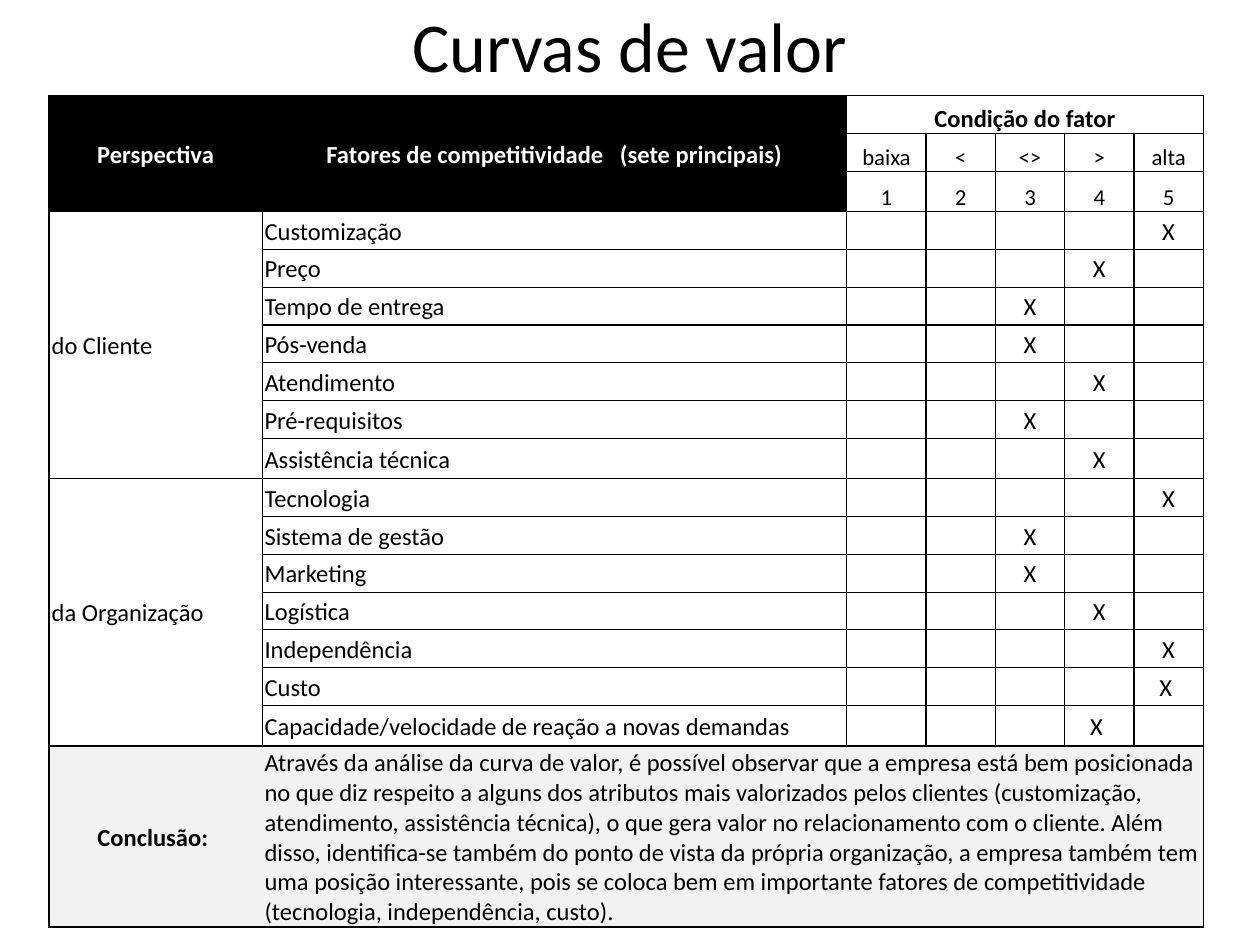
import pptx
import pptx.util
import pptx.dml.color
import pptx.enum.text
import lxml.etree

Inches, Pt = pptx.util.Inches, pptx.util.Pt
RGB = pptx.dml.color.RGBColor
ALIGN, ANCHOR = pptx.enum.text.PP_ALIGN, pptx.enum.text.MSO_ANCHOR
BLACK = RGB(0, 0, 0)
WHITE = RGB(255, 255, 255)
GRAY = RGB(0xF2, 0xF2, 0xF2)
FONT = "Calibri"
NS = "{http://schemas.openxmlformats.org/drawingml/2006/main}"

WIDTHS = [1.69, 4.64, 0.63] + [0.55] * 4
HEAVY = (0, 3, 10, 17, 18)  # row edges with the thicker line
LAST = 17
FACTORS = [
    ("Customização", 5, "X"),
    ("Preço", 4, "X"),
    ("Tempo de entrega", 3, "X"),
    ("Pós-venda", 3, "X"),
    ("Atendimento", 4, "X"),
    ("Pré-requisitos", 3, "X"),
    ("Assistência técnica", 4, "X"),
    ("Tecnologia", 5, "X"),
    ("Sistema de gestão", 3, "X"),
    ("Marketing", 3, "X"),
    ("Logística", 4, "X"),
    ("Independência", 5, "X"),
    ("Custo", 5, "X\u00a0"),
    ("Capacidade/velocidade de reação a novas demandas", 4, "X\u00a0"),
]
SUMMARY = (
    "Através da análise da curva de valor, é possível observar que a empresa "
    "está bem posicionada no que diz respeito a alguns dos atributos mais "
    "valorizados pelos clientes (customização, atendimento, assistência "
    "técnica), o que gera valor no relacionamento com o cliente. Além disso, "
    "identifica-se também do ponto de vista da própria organização, a empresa "
    "também tem uma posição interessante, pois se coloca bem em importante "
    "fatores de competitividade (tecnologia, independência, custo). "
)


def write(par, text, size, color=BLACK, bold=False):
    run = par.add_run()
    run.text = text
    run.font.name, run.font.size, run.font.bold = FONT, Pt(size), bold
    run.font.color.rgb = color


def edge(cell, side, width, place):
    line = lxml.etree.Element(NS + "ln" + side, w=str(Pt(width)))
    if width:
        fill = lxml.etree.SubElement(line, NS + "solidFill")
        lxml.etree.SubElement(fill, NS + "srgbClr", val=str(BLACK))
    else:
        lxml.etree.SubElement(line, NS + "noFill")
    cell._tc.get_or_add_tcPr().insert(place, line)


deck = pptx.Presentation()
deck.slide_width, deck.slide_height = Inches(10), Inches(7.5)
slide = deck.slides.add_slide(deck.slide_layouts[5])

# Title
title = slide.shapes.title
title.left, title.top = Inches(0.5), Inches(-0.27)
title.width, title.height = Inches(9), Inches(1.25)
title.text_frame.vertical_anchor = ANCHOR.MIDDLE
head = title.text_frame.paragraphs[0]
head.alignment = ALIGN.CENTER
write(head, "Curvas de valor", 40)

# Table grid
heights = [0.32 if row in (2, 9, 16) else 0.3 for row in range(LAST)] + [1.41]
table = slide.shapes.add_table(
    len(heights), len(WIDTHS), Inches(0.39), Inches(0.76),
    Inches(sum(WIDTHS)), Inches(sum(heights))).table
table.first_row = table.horz_banding = False
for col, width in zip(table.columns, WIDTHS):
    col.width = Inches(width)
for row, height in zip(table.rows, heights):
    row.height = Inches(height)
for top, left, end, right in [(0, 0, 2, 0), (0, 1, 2, 1), (0, 2, 0, 6),
                              (3, 0, 9, 0), (10, 0, 16, 0),
                              (LAST, 1, LAST, 6)]:
    table.cell(top, left).merge(table.cell(end, right))

# Wording by row and column
words = {
    (0, 0): "Perspectiva",
    (0, 1): "Fatores de competitividade   (sete principais)",
    (0, 2): "Condição do fator",
    (3, 0): "do Cliente",
    (10, 0): "da Organização",
    (LAST, 0): "Conclusão: ",
    (LAST, 1): SUMMARY,
}
for i, label in enumerate(["baixa", "<", "<>", ">", "alta"]):
    words[1, i + 2] = label
    words[2, i + 2] = str(i + 1)
for row, (name, score, mark) in enumerate(FACTORS, 3):
    words[row, 1] = name
    words[row, score + 1] = mark

# Cells: fill, text and borders
for row in range(len(heights)):
    for col in range(len(WIDTHS)):
        cell = table.cell(row, col)
        dark = row < 3 and col < 2
        cell.margin_left = cell.margin_right = cell.margin_top = Inches(0.02)
        cell.margin_bottom = 0
        scale = row < 3 and col > 1
        cell.vertical_anchor = ANCHOR.BOTTOM if scale else ANCHOR.MIDDLE
        if dark or row == LAST:
            cell.fill.solid()
            cell.fill.fore_color.rgb = BLACK if dark else GRAY
        else:
            cell.fill.background()

        par = cell.text_frame.paragraphs[0]
        if (row, col) in words:
            mid = row < 3 or col > 1 or (row, col) == (LAST, 0)
            par.alignment = ALIGN.CENTER if mid else ALIGN.LEFT
            write(par, words[row, col], 13 if row in (1, 2) else 14,
                  WHITE if dark else BLACK,
                  row == 0 or (row, col) == (LAST, 0))
        else:
            lxml.etree.SubElement(par._p, NS + "endParaRPr", sz="1400")

        below = row + (cell.span_height if cell.is_merge_origin else 1)
        after = col + (cell.span_width if cell.is_merge_origin else 1)
        inner = 0 if row == LAST else 0.75
        sides = [("L", 1 if col == 0 else inner),
                 ("R", 1 if after == len(WIDTHS) else inner),
                 ("T", 1 if row in HEAVY else 0.75),
                 ("B", 1 if below in HEAVY else 0.75)]
        for place, (side, width) in enumerate(sides):
            edge(cell, side, width, place)

deck.save("out.pptx")
